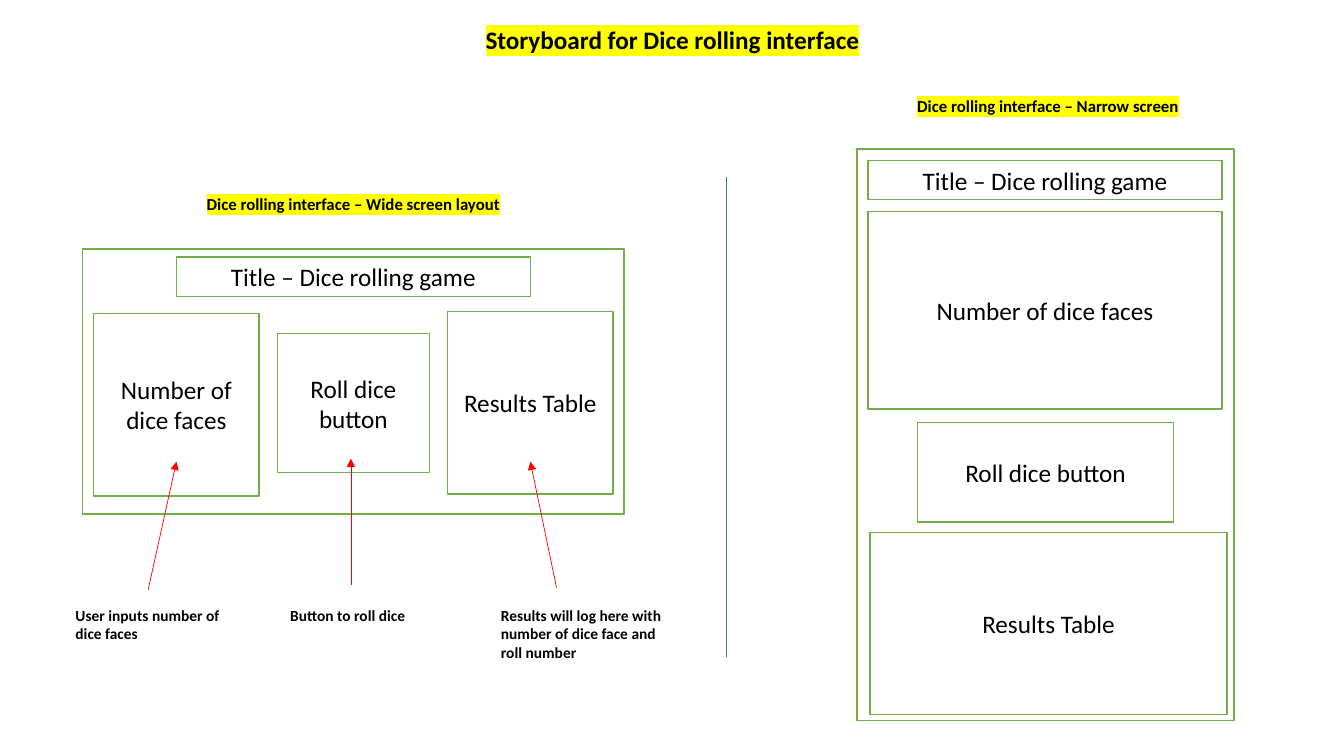
"""Build a storyboard slide for the wide and narrow layouts of a dice rolling interface."""
from lxml import etree
from pptx import Presentation
from pptx.dml.color import RGBColor
from pptx.enum.shapes import MSO_CONNECTOR, MSO_SHAPE
from pptx.enum.text import MSO_ANCHOR, MSO_AUTO_SIZE, PP_ALIGN
from pptx.oxml.ns import qn
from pptx.util import Inches, Pt

RECTANGLE = MSO_SHAPE.RECTANGLE
STRAIGHT = MSO_CONNECTOR.STRAIGHT
CENTER, LEFT = PP_ALIGN.CENTER, PP_ALIGN.LEFT
MIDDLE, TOP = MSO_ANCHOR.MIDDLE, MSO_ANCHOR.TOP
FIT_SHAPE, NO_FIT = MSO_AUTO_SIZE.SHAPE_TO_FIT_TEXT, MSO_AUTO_SIZE.NONE

FONT = "Calibri"
TITLE_ONLY = 5
COLORS = {
    "background": "FFFFFF",
    "text": "000000",
    "highlight": "FFFF00",
    "frame": "70AD47",
    "divider": "4472C4",
    "arrow": "FF0000",
}

GAME_TITLE = "Title – Dice rolling game"
FACES = "Number of dice faces"
ROLL = "Roll dice button"
RESULTS = "Results Table"

WIDE_PANELS = [
    ("", 0.82, 2.47, 5.37, 2.63),
    (GAME_TITLE, 1.75, 2.55, 3.51, 0.39),
    (FACES, 0.93, 3.11, 1.64, 1.81),
    (ROLL, 2.75, 3.31, 1.51, 1.38),
    (RESULTS, 4.44, 3.09, 1.64, 1.81),
]
NARROW_PANELS = [
    ("", 8.5, 1.48, 3.74, 5.67),
    (GAME_TITLE, 8.61, 1.59, 3.51, 0.39),
    (FACES, 8.61, 2.1, 3.51, 1.96),
    (ROLL, 9.1, 4.19, 2.54, 0.99),
    (RESULTS, 8.63, 5.28, 3.54, 1.81),
]
HEADINGS = [
    ("Dice rolling interface – Wide screen layout", 1.1, 1.87, 4.81, 0.3),
    ("Dice rolling interface – Narrow screen", 7.06, 0.9, 6.67, 0.3),
]
NOTE_TOP = 5.96
NOTES = [
    ("User inputs number of dice faces", 0.65, 1.68, 0.47),
    ("Button to roll dice", 2.78, 1.51, 0.29),
    ("Results will log here with number of dice face and roll number", 4.87, 1.79, 0.66),
]
ARROWS = [
    ((1.47, 5.85), (1.75, 4.58)),
    ((3.48, 5.8), (3.48, 4.55)),
    ((5.52, 5.83), (5.26, 4.58)),
]


def color(name):
    """Return the named colour."""
    return RGBColor.from_string(COLORS[name])


def highlight(run):
    """Mark a run with the highlight colour."""
    mark = etree.Element(qn("a:highlight"))
    etree.SubElement(mark, qn("a:srgbClr"), val=COLORS["highlight"])
    run.font._element.find(qn("a:latin")).addprevious(mark)


def write_text(shape, text, size, bold=False, align=CENTER, anchor=MIDDLE,
               fit=NO_FIT, marked=False):
    """Fill a shape with one formatted paragraph."""
    frame = shape.text_frame
    frame.text = text
    frame.word_wrap = True
    frame.auto_size = fit
    frame.vertical_anchor = anchor
    paragraph = frame.paragraphs[0]
    paragraph.alignment = align
    for run in paragraph.runs:
        run.font.name = FONT
        run.font.size = Pt(size)
        run.font.bold = bold
        run.font.color.rgb = color("text")
        if marked:
            highlight(run)


def add_title(slide, text, left, top, width, height):
    """Place and format the slide title."""
    title = slide.shapes.title
    title.left, title.top = Inches(left), Inches(top)
    title.width, title.height = Inches(width), Inches(height)
    write_text(title, text, 18, bold=True, anchor=TOP, fit=FIT_SHAPE, marked=True)


def add_panel(slide, text, left, top, width, height):
    """Add an outlined rectangle with an optional label."""
    panel = slide.shapes.add_shape(
        RECTANGLE, Inches(left), Inches(top), Inches(width), Inches(height))
    panel.shadow.inherit = False
    panel.fill.solid()
    panel.fill.fore_color.rgb = color("background")
    panel.line.color.rgb = color("frame")
    panel.line.width = Pt(1)
    if text:
        write_text(panel, text, 18)


def add_label(slide, text, left, top, width, height, size, **style):
    """Add a bold text box."""
    label = slide.shapes.add_textbox(
        Inches(left), Inches(top), Inches(width), Inches(height))
    write_text(label, text, size, bold=True, anchor=TOP, fit=FIT_SHAPE, **style)


def add_line(slide, start, end, color_name, arrow=False):
    """Add a thin straight line, with an arrowhead at its end if asked."""
    line = slide.shapes.add_connector(
        STRAIGHT, *(Inches(value) for value in (*start, *end)))
    line.line.color.rgb = color(color_name)
    line.line.width = Pt(0.5)
    if arrow:
        etree.SubElement(line.line._get_or_add_ln(), qn("a:tailEnd"), type="triangle")
    etree.SubElement(line._element.spPr, qn("a:effectLst"))


def main():
    """Build and save the storyboard."""
    presentation = Presentation()
    presentation.slide_width = Inches(13.33)
    presentation.slide_height = Inches(7.5)
    slide = presentation.slides.add_slide(presentation.slide_layouts[TITLE_ONLY])

    add_title(slide, "Storyboard for Dice rolling interface", 4.55, 0.19, 4.24, 0.4)
    for panel in WIDE_PANELS + NARROW_PANELS:
        add_panel(slide, *panel)
    for heading in HEADINGS:
        add_label(slide, *heading, size=12, marked=True)
    add_line(slide, (7.2, 1.76), (7.2, 6.52), "divider")
    for start, end in ARROWS:
        add_line(slide, start, end, "arrow", arrow=True)
    for text, left, width, height in NOTES:
        add_label(slide, text, left, NOTE_TOP, width, height, size=11, align=LEFT)

    presentation.save("out.pptx")


if __name__ == "__main__":
    main()
